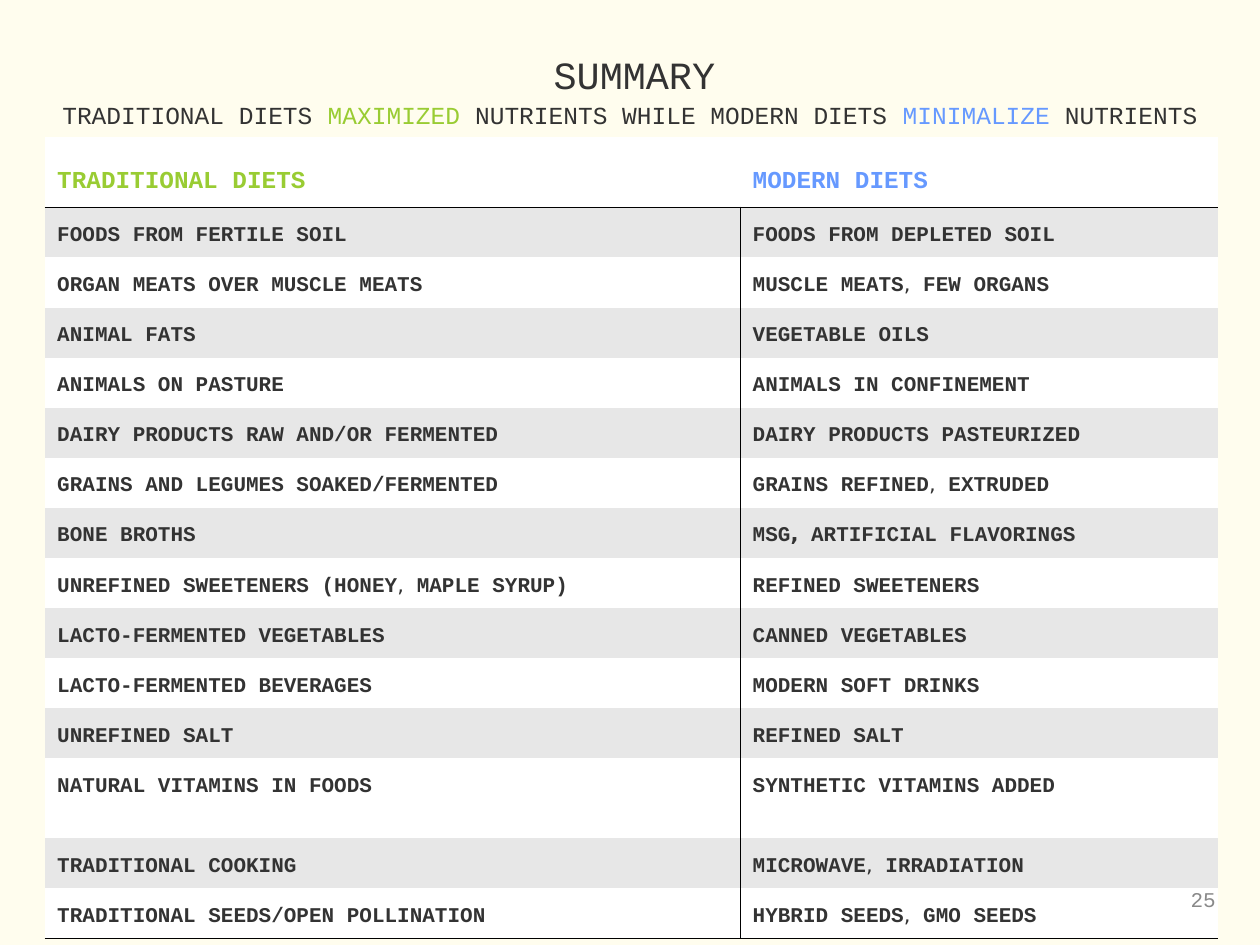
from lxml import etree
from pptx import Presentation
from pptx.dml.color import RGBColor
from pptx.enum.text import MSO_ANCHOR, PP_ALIGN
from pptx.oxml.ns import qn
from pptx.util import Cm, Pt

TOP, MIDDLE = MSO_ANCHOR.TOP, MSO_ANCHOR.MIDDLE
LEFT, CENTER, RIGHT = PP_ALIGN.LEFT, PP_ALIGN.CENTER, PP_ALIGN.RIGHT

# Content
COLORS = {
    "background": "FFFDEE", "text": "333333", "traditional": "99CC33",
    "modern": "6699FF", "band": "E7E7E7", "plain": "FFFFFF",
    "rule": "000000", "number": "898989",
}
FONT, COMMA_FONT = "Courier New", "DejaVu Sans"

TITLE = "SUMMARY"
SUBTITLE = [
    ("TRADITIONAL DIETS ", "text"), ("MAXIMIZED", "traditional"),
    (" NUTRIENTS WHILE MODERN DIETS ", "text"), ("MINIMALIZE", "modern"),
    (" NUTRIENTS", "text"),
]
PAGE_NUMBER = "25"
HEADINGS = [("TRADITIONAL DIETS", "traditional"), ("MODERN DIETS", "modern")]
DIETS = [
    ("FOODS FROM FERTILE SOIL", "FOODS FROM DEPLETED SOIL"),
    ("ORGAN MEATS OVER MUSCLE MEATS", "MUSCLE MEATS, FEW ORGANS"),
    ("ANIMAL FATS", "VEGETABLE OILS"),
    ("ANIMALS ON PASTURE", "ANIMALS IN CONFINEMENT"),
    ("DAIRY PRODUCTS RAW AND/OR FERMENTED", "DAIRY PRODUCTS PASTEURIZED"),
    ("GRAINS AND LEGUMES SOAKED/FERMENTED", "GRAINS REFINED, EXTRUDED"),
    ("BONE BROTHS", "MSG, ARTIFICIAL FLAVORINGS"),
    ("UNREFINED SWEETENERS (HONEY, MAPLE SYRUP)", "REFINED SWEETENERS"),
    ("LACTO-FERMENTED VEGETABLES", "CANNED VEGETABLES"),
    ("LACTO-FERMENTED BEVERAGES", "MODERN SOFT DRINKS"),
    ("UNREFINED SALT", "REFINED SALT"),
    ("NATURAL VITAMINS IN FOODS", "SYNTHETIC VITAMINS ADDED"),
    ("TRADITIONAL COOKING", "MICROWAVE, IRRADIATION"),
    ("TRADITIONAL SEEDS/OPEN POLLINATION", "HYBRID SEEDS, GMO SEEDS"),
]
BOLD_COMMA = {"MSG, ARTIFICIAL FLAVORINGS"}
TALL_ROW = "NATURAL VITAMINS IN FOODS"

# Measures
COLUMN_WIDTHS = [Cm(14.02), Cm(9.63)]
HEADING_HEIGHT, ROW_HEIGHT, TALL_HEIGHT = Cm(1.42), Cm(1.01), Cm(1.61)
THICK, THIN = Pt(0.96), Pt(0.45)
LINE_SPACING = Pt(19.4)


def write(frame, parts, size, align=LEFT, bold=False, spacing=None, baseline=None):
    """Write (text, colour name) parts; a comma has its own font in bold text."""
    paragraph = frame.paragraphs[0]
    paragraph.alignment = align
    if spacing:
        paragraph.line_spacing = spacing
    for text, color in parts:
        for piece in text.replace(",", "|,|").split("|"):
            run = paragraph.add_run()
            run.text = piece
            comma = piece == ","
            run.font.name = COMMA_FONT if comma else FONT
            run.font.size = Pt(size)
            run.font.bold = bold and (not comma or text in BOLD_COMMA)
            run.font.color.rgb = RGBColor.from_string(COLORS[color])
            if baseline:
                run.font._element.set("baseline", str(baseline))


def add_text(slide, box, parts, size, align, anchor=TOP, spacing=None):
    frame = slide.shapes.add_textbox(*(Cm(length) for length in box)).text_frame
    frame.word_wrap = True
    frame.vertical_anchor = anchor
    write(frame, parts, size, align, spacing=spacing)


def set_borders(cell, widths):
    """Draw the sides given in widths and hide the others."""
    properties = cell._tc.get_or_add_tcPr()
    for side in "LRTB":
        line = etree.SubElement(properties, qn(f"a:ln{side}"))
        if side in widths:
            line.set("w", str(int(widths[side])))
            fill = etree.SubElement(line, qn("a:solidFill"))
            etree.SubElement(fill, qn("a:srgbClr"), val=COLORS["rule"])
        else:
            etree.SubElement(line, qn("a:noFill"))


def add_diet_table(slide):
    heights = [HEADING_HEIGHT] + [
        TALL_HEIGHT if traditional == TALL_ROW else ROW_HEIGHT
        for traditional, _ in DIETS
    ]
    table = slide.shapes.add_table(
        len(heights), len(COLUMN_WIDTHS), Cm(0.9), Cm(2.76),
        sum(COLUMN_WIDTHS), sum(heights)).table
    for column, width in zip(table.columns, COLUMN_WIDTHS):
        column.width = width
    for row, height in zip(table.rows, heights):
        row.height = height

    rows = [HEADINGS] + [[(text, "text") for text in pair] for pair in DIETS]
    for r, row in enumerate(rows):
        for c, part in enumerate(row):
            cell = table.cell(r, c)
            borders = {}
            if r > 0:
                borders["R" if c == 0 else "L"] = THIN
            if r == 1:
                borders["T"] = THICK
            if r in (0, len(rows) - 1):
                borders["B"] = THICK
            set_borders(cell, borders)
            cell.fill.solid()
            cell.fill.fore_color.rgb = RGBColor.from_string(
                COLORS["band" if r % 2 else "plain"])
            if r == 0:
                write(cell.text_frame, [part], 24, bold=True, baseline=-25000)
            else:
                write(cell.text_frame, [part], 12, bold=True, spacing=LINE_SPACING)


def main():
    deck = Presentation()
    deck.slide_width, deck.slide_height = Cm(25.4), Cm(19.05)
    slide = deck.slides.add_slide(deck.slide_layouts[6])
    slide.background.fill.solid()
    slide.background.fill.fore_color.rgb = RGBColor.from_string(COLORS["background"])

    add_diet_table(slide)
    # Title, subtitle and page number
    add_text(slide, (0.69, 1.17, 24.2, 0.89), [(TITLE, "text")], 22, CENTER,
             MIDDLE, LINE_SPACING)
    add_text(slide, (0, 1.9, 25.4, 0.86), SUBTITLE, 14, CENTER)
    add_text(slide, (19.48, 17.5, 5.28, 1.27), [(PAGE_NUMBER, "number")], 12,
             RIGHT, MIDDLE)
    deck.save("out.pptx")


if __name__ == "__main__":
    main()
